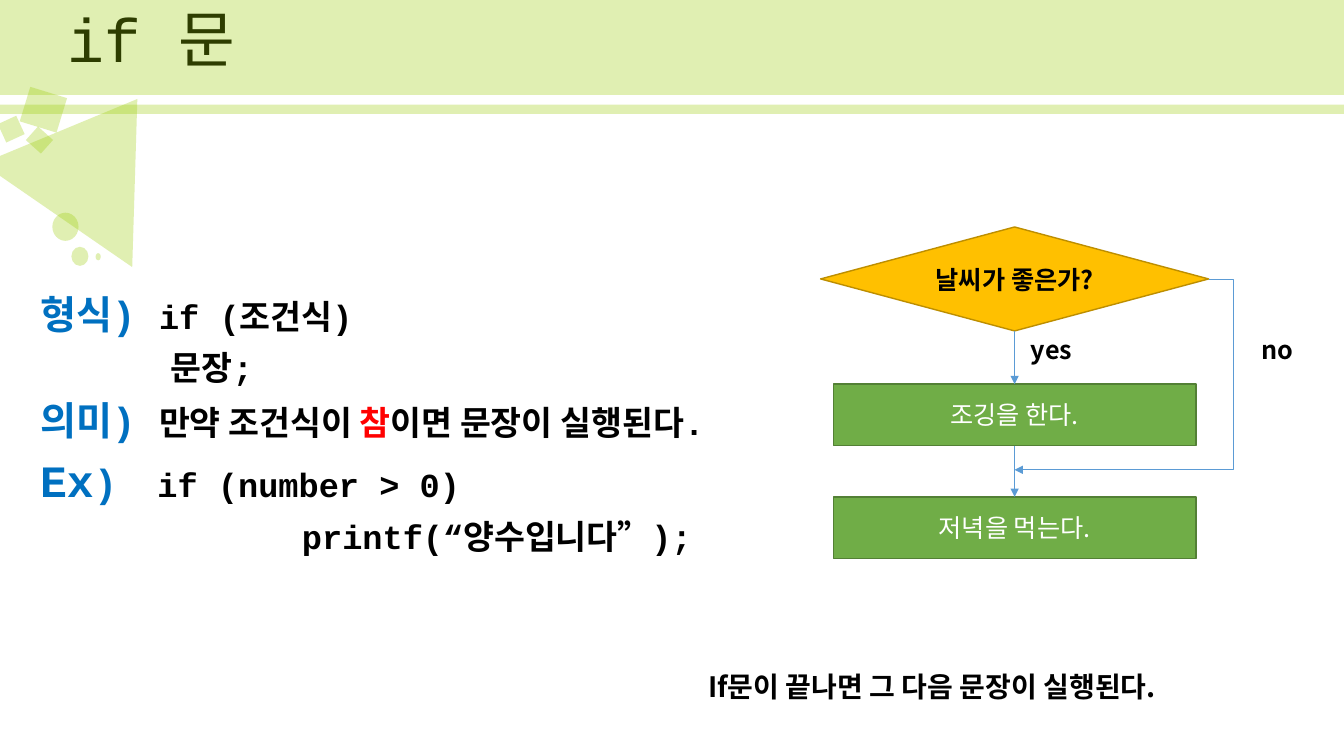
"""Build the slide that explains the if statement."""
from dataclasses import dataclass

from lxml import etree
from pptx import Presentation
from pptx import util as u
from pptx.dml.color import RGBColor
from pptx.enum import shapes, text
from pptx.oxml import ns

Kind = shapes.MSO_SHAPE
Link = shapes.MSO_CONNECTOR
Mid = text.MSO_ANCHOR.MIDDLE
Code, Sans = "Courier New", "Noto Sans CJK KR"
Black, Blue, Red, White = "000000", "0070C0", "FF0000", "FFFFFF"
Lime, Gold, Green, Sky = "99CC00", "FFC000", "70AD47", "5B9BD5"


@dataclass
class Box:
    """Place and size in centimetres."""
    left: float
    top: float
    width: float
    height: float

    def cm(self) -> list:
        """Give the four lengths."""
        return [u.Cm(n) for n in (self.left, self.top, self.width, self.height)]


@dataclass
class Decor:
    """Translucent ornament."""
    kind: int
    box: Box
    turn: float = 0


@dataclass
class Node:
    """Step of the flow chart."""
    kind: int
    box: Box
    label: str
    fill: str
    edge: str
    ink: str = White
    bold: bool = False


@dataclass
class Label:
    """Free text on the chart."""
    box: Box
    label: str
    size: int = 18


@dataclass
class Line:
    """Paragraph of the body, with indent and tab in centimetres."""
    runs: list
    indent: float = 0
    tab: float = 0


def color(code: str) -> RGBColor:
    """Turn a hex string into a colour."""
    return RGBColor.from_string(code)


def sub(node, tag: str, **attrs):
    """Add a drawing element under a node."""
    return etree.SubElement(node, ns.qn(tag), **attrs)


def write(para, words: str, size: int = 18, face: str = Sans,
          ink: str = Black, bold: bool = False) -> None:
    """Add one formatted run."""
    run = para.add_run()
    run.text = words
    font = run.font
    font.size, font.name, font.bold = u.Pt(size), face, bold
    font.color.rgb = color(ink)
    sub(run._r.get_or_add_rPr(), "a:ea", typeface=Sans)


def frame(slide, box: Box):
    """Add a wrapping text box and give its frame."""
    area = slide.shapes.add_textbox(*box.cm()).text_frame
    area.word_wrap = True
    return area


def shape(slide, kind: int, box: Box, fill: str):
    """Add a flat filled shape."""
    item = slide.shapes.add_shape(kind, *box.cm())
    item.shadow.inherit = False
    item.fill.solid()
    item.fill.fore_color.rgb = color(fill)
    return item


def adorn(slide, part: Decor) -> None:
    """Draw one ornament."""
    item = shape(slide, part.kind, part.box, Lime)
    item.line.fill.background()
    item.rotation = part.turn
    sub(item._element.spPr.find(".//" + ns.qn("a:srgbClr")), "a:alpha", val="30000")


def step(slide, node: Node):
    """Draw one flow chart step."""
    item = shape(slide, node.kind, node.box, node.fill)
    item.line.color.rgb = color(node.edge)
    item.line.width = u.Pt(1)
    area = item.text_frame
    area.word_wrap = True
    area.vertical_anchor = Mid
    para = area.paragraphs[0]
    para.alignment = text.PP_ALIGN.CENTER
    write(para, node.label, ink=node.ink, bold=node.bold)
    return item


def arrow(slide, kind: int, ends: tuple = (0, 0, 0, 0)):
    """Draw one thin arrow."""
    item = slide.shapes.add_connector(kind, *(u.Cm(n) for n in ends))
    item.line.color.rgb = color(Sky)
    item.line.width = u.Pt(0.5)
    sub(item.line._get_or_add_ln(), "a:tailEnd", type="triangle")
    sub(item._element.spPr, "a:effectLst")
    return item


def typeset(para, line: Line) -> None:
    """Fill one body paragraph."""
    para.line_spacing = 0.9
    para.space_before = u.Pt(10)
    props = para._p.get_or_add_pPr()
    if line.indent:
        props.set("marL", str(u.Cm(line.indent)))
    if line.tab:
        sub(sub(props, "a:tabLst"), "a:tab", pos=str(u.Cm(line.tab)), algn="l")
    for words, size, ink in line.runs:
        write(para, words, size=size, face=Code, ink=ink, bold=True)


BODY = [
    Line([("형식) ", 28, Blue), ("if (조건식)", 24, Black)]),
    Line([("문장;", 24, Black)], indent=3.3),
    Line([("의미) ", 28, Blue), ("만약 조건식이 ", 24, Black),
          ("참", 24, Red), ("이면 문장이 실행된다.", 24, Black)]),
    Line([("Ex", 32, Blue), (")", 28, Blue),
          ("\tif (number > 0)", 24, Black)], tab=2.96),
    Line([("printf(“양수입니다”);", 24, Black)], indent=6.6),
]
DECOR = [
    Decor(Kind.RECTANGLE, Box(0, 0, 33.87, 2.39)),
    Decor(Kind.RECTANGLE, Box(0, 2.64, 33.87, 0.23)),
    Decor(Kind.ISOSCELES_TRIANGLE, Box(0.15, 2.18, 4.6, 3.56), 34.6),
    Decor(Kind.RECTANGLE, Box(0.61, 2.31, 0.97, 0.91), 17.1),
    Decor(Kind.RECTANGLE, Box(0.74, 3.3, 0.51, 0.46), 41.8),
    Decor(Kind.RECTANGLE, Box(0.03, 3, 0.51, 0.51), 335.3),
    Decor(Kind.OVAL, Box(2.41, 6.38, 0.13, 0.18)),
    Decor(Kind.OVAL, Box(1.8, 6.22, 0.43, 0.48)),
    Decor(Kind.OVAL, Box(1.32, 5.36, 0.66, 0.71)),
]
NODES = [
    Node(Kind.DIAMOND, Box(20.68, 5.72, 9.78, 2.62), "날씨가 좋은가?",
         Gold, "BD8E00", Black, True),
    Node(Kind.RECTANGLE, Box(21, 9.68, 9.14, 1.55), "조깅을 한다.", Green, "538035"),
    Node(Kind.RECTANGLE, Box(21, 12.52, 9.14, 1.55), "저녁을 먹는다.", Green, "538035"),
]
LABELS = [
    Label(Box(25.73, 8.31, 2.08, 1.02), "yes"),
    Label(Box(31.55, 8.31, 2.08, 1.02), "no"),
    Label(Box(17.6, 16.74, 14.81, 1.12), "If문이 끝나면 그 다음 문장이 실행된다.", 20),
]


def main() -> None:
    """Build and save the slide."""
    deck = Presentation()
    deck.slide_width, deck.slide_height = u.Cm(33.87), u.Cm(19.05)
    slide = deck.slides.add_slide(deck.slide_layouts[6])

    title = frame(slide, Box(1.44, -0.76, 28.28, 3.68))
    title.vertical_anchor = Mid
    title.paragraphs[0].line_spacing = 0.9
    write(title.paragraphs[0], "if 문", size=44, face=Code)

    body = frame(slide, Box(0.76, 7.32, 19.74, 9.07))
    for i, line in enumerate(BODY):
        typeset(body.add_paragraph() if i else body.paragraphs[0], line)

    for part in DECOR:
        adorn(slide, part)
    steps = [step(slide, node) for node in NODES]
    for start, end in zip(steps, steps[1:]):
        link = arrow(slide, Link.STRAIGHT)
        link.begin_connect(start, 2)
        link.end_connect(end, 0)
    skip = arrow(slide, Link.ELBOW, (30.46, 7.03, 25.57, 11.84))
    bends = skip._element.spPr.find(".//" + ns.qn("a:avLst"))
    sub(bends, "a:gd", name="adj1", fmla="val -13000")
    for note in LABELS:
        write(frame(slide, note.box).paragraphs[0], note.label, size=note.size, bold=True)
    deck.save("out.pptx")


if __name__ == "__main__":
    main()
